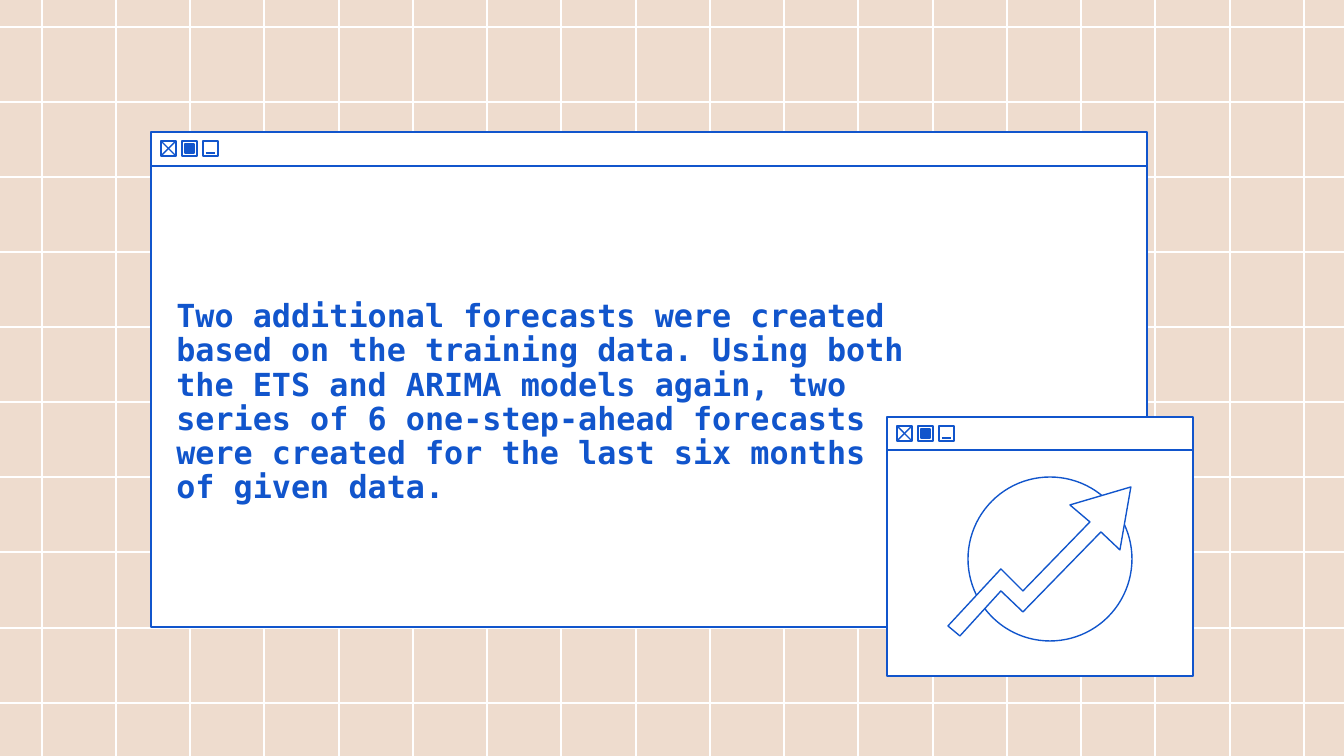
from lxml import etree
from pptx import Presentation
from pptx.dml.color import RGBColor
from pptx.enum.shapes import MSO_CONNECTOR, MSO_SHAPE
from pptx.enum.text import MSO_ANCHOR
from pptx.oxml.ns import qn
from pptx.util import Pt

RECT, OVAL = MSO_SHAPE.RECTANGLE, MSO_SHAPE.OVAL
STRAIGHT = MSO_CONNECTOR.STRAIGHT
MIDDLE = MSO_ANCHOR.MIDDLE

SCALE = 914400 / 134.4  # EMU per px
WIDTH, HEIGHT = 1344, 756
BLUE, WHITE, BEIGE = "1155CC", "FFFFFF", "EEDCCE"
FONT = "DejaVu Sans Mono"

TEXT = (
    "Two additional forecasts were created based on the training data. "
    "Using both the ETS and ARIMA models again, two series of 6 "
    "one-step-ahead forecasts were created for the last six months of "
    "given data."
)
ARROW = [
    (1131, 487), (1070, 505), (1090, 522), (1023, 591), (1001, 569), (948, 626),
    (960, 636), (1001, 591), (1023, 612), (1101, 532), (1120, 550),
]


def px(n):
    return round(n * SCALE)


def rgb(color):
    return RGBColor.from_string(color)


def style(sp, fill):
    sp.shadow.inherit = False
    if fill:
        sp.fill.solid()
        sp.fill.fore_color.rgb = rgb(fill)
    else:
        sp.fill.background()
    sp.line.color.rgb = rgb(BLUE)
    sp.line.width = Pt(0.75)


def add_shape(s, kind, x, y, w, h, fill=None):
    sp = s.shapes.add_shape(kind, px(x), px(y), px(w), px(h))
    style(sp, fill)


def add_line(s, x1, y1, x2, y2, color=BLUE):
    line = s.shapes.add_connector(STRAIGHT, px(x1), px(y1), px(x2), px(y2))
    line.line.color.rgb = rgb(color)
    line.line.width = Pt(0.75)
    etree.SubElement(line._element.spPr, qn("a:effectLst"))


def add_polygon(s, points, fill):
    builder = s.shapes.build_freeform(*points[0], scale=SCALE)
    builder.add_line_segments(points[1:], close=True)
    style(builder.convert_to_shape(), fill)


def add_grid(s):
    for i in range(18):
        x = round(41.7 + 74.24 * i)
        add_line(s, x, 0, x, HEIGHT, WHITE)
    for i in range(10):
        y = round(26.6 + 75.12 * i)
        add_line(s, 0, y, WIDTH, y, WHITE)


def add_window(s, x, y, w, h, bar):
    add_shape(s, RECT, x, y + bar, w, h - bar, WHITE)
    add_shape(s, RECT, x, y, w, bar, WHITE)

    # Close, maximize and minimize buttons
    size, top = 15, y + 9
    close, maximize, minimize = [x + 10 + 21 * i for i in range(3)]
    for left in (close, maximize, minimize):
        add_shape(s, RECT, left, top, size, size)
    add_line(s, close, top, close + size, top + size)
    add_line(s, close + size, top, close, top + size)
    add_shape(s, RECT, maximize + 3, top + 3, 9, 9, BLUE)
    add_line(s, minimize + 3, top + 12, minimize + 12, top + 12)


def add_text(s, text, x, y, w, h):
    tf = s.shapes.add_textbox(px(x), px(y), px(w), px(h)).text_frame
    tf.word_wrap = True
    tf.vertical_anchor = MIDDLE
    tf.margin_left = tf.margin_right = tf.margin_top = tf.margin_bottom = Pt(7.2)
    p = tf.paragraphs[0]
    p.text = text
    p.line_spacing = 0.9
    p.font.name = FONT
    p.font.size = Pt(17)
    p.font.bold = True
    p.font.color.rgb = rgb(BLUE)


def main():
    prs = Presentation()
    prs.slide_width, prs.slide_height = px(WIDTH), px(HEIGHT)
    s = prs.slides.add_slide(prs.slide_layouts[6])

    # Background
    s.background.fill.solid()
    s.background.fill.fore_color.rgb = rgb(BEIGE)
    add_grid(s)

    # Main window
    add_window(s, 151, 132, 996, 495, 34)
    add_text(s, TEXT, 163, 188, 758, 430)

    # Small window with growth arrow
    add_window(s, 887, 417, 306, 259, 33)
    add_shape(s, OVAL, 968, 477, 164, 164, WHITE)
    add_polygon(s, ARROW, WHITE)

    prs.save("out.pptx")


if __name__ == "__main__":
    main()
